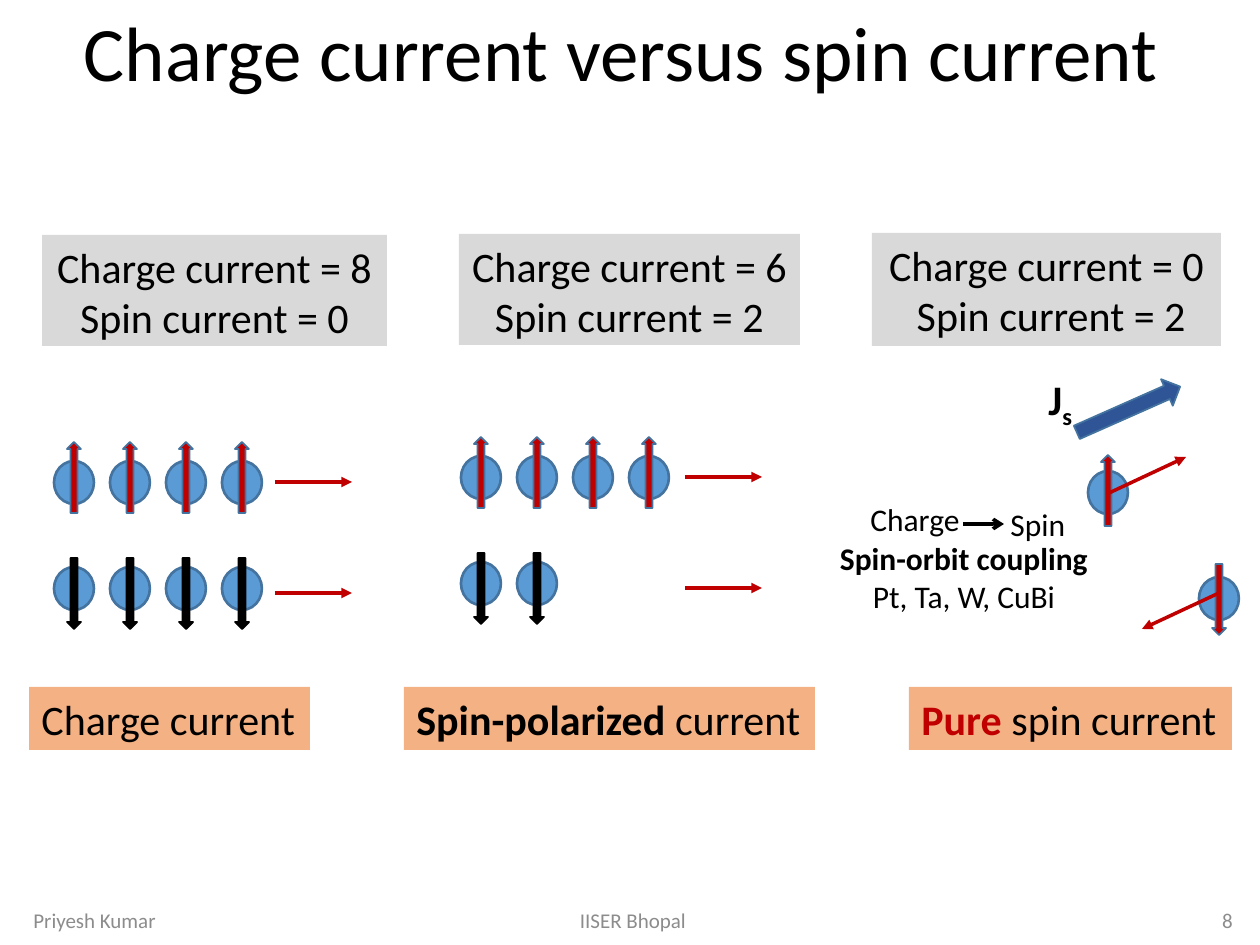
from dataclasses import dataclass
from typing import NamedTuple

import pptx
import pptx.dml.color
import pptx.enum.shapes
import pptx.enum.text
import pptx.oxml
import pptx.oxml.ns
import pptx.util

SHAPE = pptx.enum.shapes.MSO_SHAPE
ALIGN = pptx.enum.text.PP_ALIGN
ANCHOR = pptx.enum.text.MSO_ANCHOR
EMU_PER_PX = 914400 / 126
FONT = "Calibri"
COLOURS = {
    "black": "000000", "red": "C00000", "ball": "5B9BD5", "outline": "43739E",
    "navy": "2F5597", "orange": "F4B183", "grey": "D9D9D9", "footer": "8C8C8C",
}
PITCH = 56  # distance between neighbouring electrons
BALL_W, BALL_H = 40, 43
SPIN_W, SPIN_H = 14, 71


class Run(NamedTuple):
    text: str
    bold: bool = False
    colour: str = "black"
    baseline: int = 0


@dataclass
class Label:
    box: tuple[int, int, int, int]
    lines: list[list[Run]]
    size: int = 24
    align: ALIGN = ALIGN.LEFT
    fill: str | None = None
    anchor: ANCHOR = ANCHOR.TOP


@dataclass
class Electron:
    left: int
    top: int
    lift: int  # how far the spin arrow starts above the ball
    up: bool = True
    colour: str = "red"


@dataclass
class Arrow:
    start: tuple[int, int]
    end: tuple[int, int]
    colour: str = "red"
    head: str = "triangle"


def px(value: int) -> int:
    return round(value * EMU_PER_PX)


def rgb(name: str) -> pptx.dml.color.RGBColor:
    return pptx.dml.color.RGBColor.from_string(COLOURS[name])


def draw_label(slide, label: Label) -> None:
    box = slide.shapes.add_textbox(*map(px, label.box))
    if label.fill:
        box.fill.solid()
        box.fill.fore_color.rgb = rgb(label.fill)
    frame = box.text_frame
    frame.word_wrap = True
    frame.vertical_anchor = label.anchor
    for i, line in enumerate(label.lines):
        paragraph = frame.add_paragraph() if i else frame.paragraphs[0]
        paragraph.alignment = label.align
        paragraph.font.name = FONT
        paragraph.font.size = pptx.util.Pt(label.size)
        for part in line:
            run = paragraph.add_run()
            run.text = part.text
            run.font.bold = part.bold
            run.font.color.rgb = rgb(part.colour)
            if part.baseline:
                run._r.get_or_add_rPr().set("baseline", str(part.baseline * 1000))


def draw_shape(slide, kind: SHAPE, box: tuple[int, int, int, int], fill: str,
               line: str = "outline", width: float = 1, rotation: float = 0) -> None:
    shape = slide.shapes.add_shape(kind, *map(px, box))
    shape.shadow.inherit = False
    shape.fill.solid()
    shape.fill.fore_color.rgb = rgb(fill)
    shape.line.color.rgb = rgb(line)
    shape.line.width = pptx.util.Pt(width)
    shape.rotation = rotation


def draw_electron(slide, electron: Electron) -> None:
    draw_shape(slide, SHAPE.OVAL, (electron.left, electron.top, BALL_W, BALL_H),
               "ball", width=1.5)
    spin_box = (electron.left + (BALL_W - SPIN_W) // 2, electron.top - electron.lift,
                SPIN_W, SPIN_H)
    draw_shape(slide, SHAPE.UP_ARROW, spin_box, electron.colour,
               line="outline" if electron.colour == "red" else "black",
               rotation=0 if electron.up else 180)


def draw_arrow(slide, arrow: Arrow) -> None:
    connector = slide.shapes.add_connector(
        pptx.enum.shapes.MSO_CONNECTOR.STRAIGHT, *map(px, arrow.start + arrow.end))
    connector.line.color.rgb = rgb(arrow.colour)
    connector.line.width = pptx.util.Pt(2)
    head = pptx.oxml.parse_xml(
        f'<a:tailEnd {pptx.oxml.ns.nsdecls("a")} type="{arrow.head}"/>')
    connector.line._get_or_add_ln().append(head)
    connector._element.spPr.append(
        pptx.oxml.parse_xml(f'<a:effectLst {pptx.oxml.ns.nsdecls("a")}/>'))


def draw_flow(slide, left: int, top: int, ups: int, downs: int, arrow_left: int) -> None:
    """Draw a row of up spins above a row of down spins, each with its direction."""
    for i in range(ups):
        draw_electron(slide, Electron(left + i * PITCH, top, 19))
    for i in range(downs):
        draw_electron(slide, Electron(left + i * PITCH, top + 106, 9, False, "black"))
    for y in (top + 21, top + 132):
        draw_arrow(slide, Arrow((arrow_left, y), (arrow_left + 77, y)))


def main() -> None:
    deck = pptx.Presentation()
    deck.slide_width, deck.slide_height = px(1260), px(945)
    slide = deck.slides.add_slide(deck.slide_layouts[5])

    # Title
    title = slide.shapes.title
    title.left, title.top, title.width, title.height = map(px, (0, -9, 1260, 131))
    title.text_frame.text = "Charge current versus spin current "
    title.text_frame.auto_size = pptx.enum.text.MSO_AUTO_SIZE.NONE
    title.text_frame.vertical_anchor = ANCHOR.MIDDLE
    heading = title.text_frame.paragraphs[0]
    heading.alignment = ALIGN.CENTER
    heading.line_spacing = 0.9
    heading.font.name = FONT
    heading.font.size = pptx.util.Pt(44)
    heading.font.color.rgb = rgb("black")

    # Electrons moving together, then in opposite directions
    draw_flow(slide, 54, 461, 4, 4, 275)
    draw_flow(slide, 461, 456, 4, 2, 685)
    draw_electron(slide, Electron(1088, 471, 16))
    draw_electron(slide, Electron(1199, 577, 13, up=False))
    for arrow in (
        Arrow((1109, 493), (1186, 457)),
        Arrow((1219, 593), (1142, 629)),
        Arrow((963, 524), (1004, 524), "black", "arrow"),
    ):
        draw_arrow(slide, arrow)
    draw_shape(slide, SHAPE.UP_ARROW, (1114, 353, 29, 113), "navy", rotation=66.1)

    # Current balances, names of the currents, and notes on the conversion
    balances = [
        ((42, 235, 345, 111), "Charge current = 8 ", "Spin current = 0"),
        ((459, 234, 341, 111), "Charge current = 6 ", "Spin current = 2"),
        ((872, 233, 349, 113), "Charge current = 0", " Spin current = 2"),
    ]
    labels = [Label(box, [[Run(charge)], [Run(spin)]], align=ALIGN.CENTER, fill="grey")
              for box, charge, spin in balances]
    names = [
        (29, 281, [Run("Charge current")]),
        (404, 411, [Run("Spin-polarized", True), Run(" current")]),
        (909, 323, [Run("Pure", True, "red"), Run(" spin current")]),
    ]
    labels += [Label((left, 687, width, 63), [runs], fill="orange")
               for left, width, runs in names]
    labels += [
        Label((858, 494, 116, 50), [[Run("Charge")]], 18),
        Label((998, 499, 116, 50), [[Run("Spin")]], 18),
        Label((821, 533, 286, 89),
              [[Run("Spin-orbit coupling", True)], [Run("Pt, Ta, W, CuBi")]],
              18, ALIGN.CENTER),
        Label((1036, 367, 54, 63), [[Run("J", True), Run("s", True, baseline=-25)]]),
    ]

    # Footer
    footers = [
        (21, 284, "Priyesh Kumar", ALIGN.LEFT),
        (420, 426, "IISER Bhopal", ALIGN.CENTER),
        (961, 284, "8", ALIGN.RIGHT),
    ]
    labels += [Label((left, 895, width, 50), [[Run(text, colour="footer")]], 12, align,
                     anchor=ANCHOR.MIDDLE)
               for left, width, text, align in footers]
    for label in labels:
        draw_label(slide, label)

    deck.save("out.pptx")


if __name__ == "__main__":
    main()
